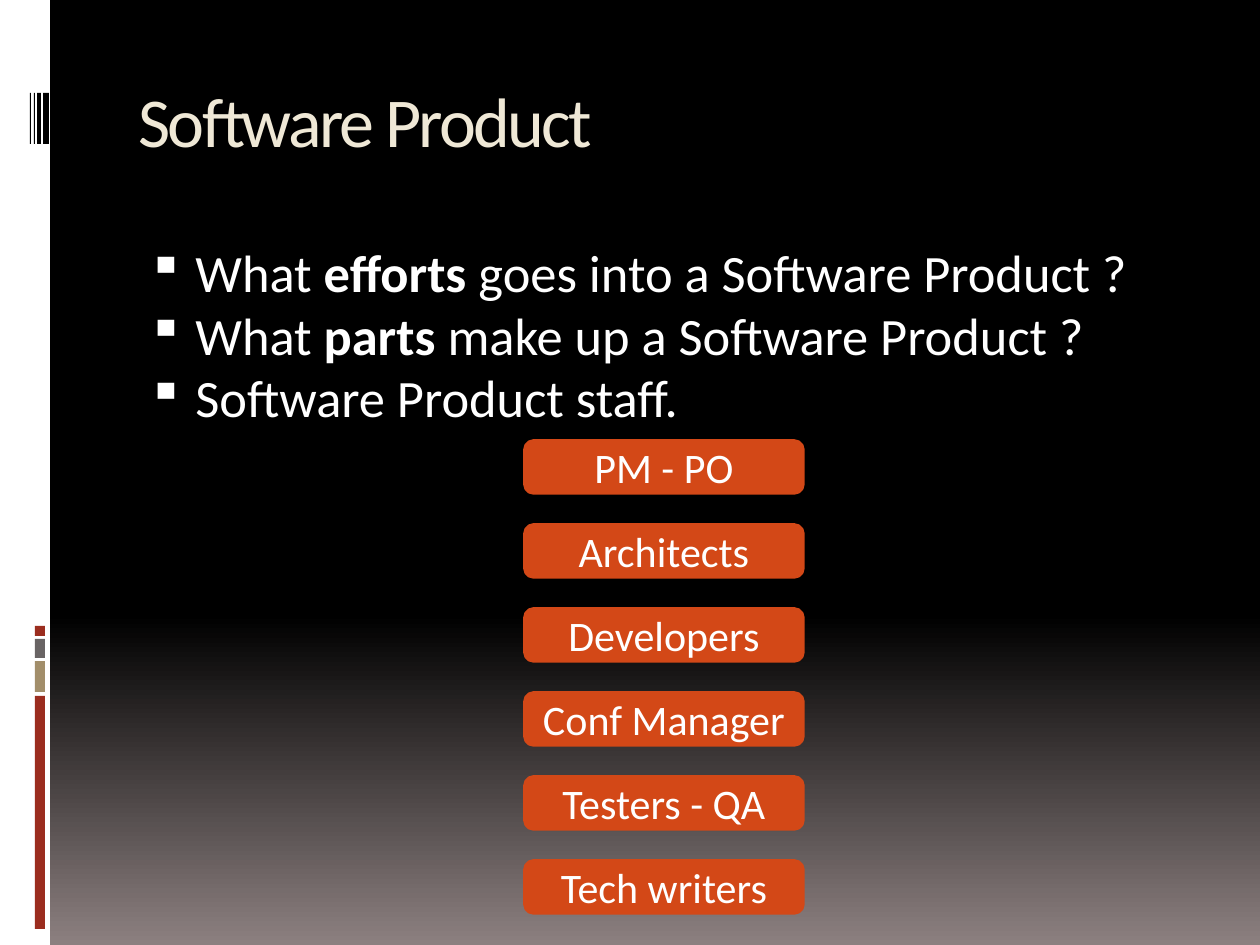
from lxml.etree import SubElement
from pptx import Presentation
from pptx.dml.color import RGBColor
from pptx.enum.shapes import MSO_SHAPE
from pptx.enum.text import MSO_ANCHOR, PP_ALIGN
from pptx.oxml.ns import qn
from pptx.util import Pt

PX = 914400 // 126  # EMU per pixel


def color(hex_code):
    return RGBColor.from_string(hex_code)


def add_block(kind, left, top, width, height, fill):
    block = slide.shapes.add_shape(kind, left * PX, top * PX, width * PX, height * PX)
    block.shadow.inherit = False
    block.fill.solid()
    block.fill.fore_color.rgb = color(fill)
    block.line.fill.background()
    return block


prs = Presentation()
prs.slide_width, prs.slide_height = 1260 * PX, 945 * PX
slide = prs.slides.add_slide(prs.slide_layouts[6])

# Background: black, fading to grey in the lower third
background = slide.background.fill
background.gradient()
background.gradient_angle = 270
for stop, position, hex_code in zip(background.gradient_stops, (0.65, 1), ("000000", "8C8080")):
    stop.position = position
    stop.color.rgb = color(hex_code)

# Side band with coloured strips and black bars
add_block(MSO_SHAPE.RECTANGLE, 0, 0, 50, 945, "FFFFFF")
for top, height, fill in [(696, 233, "9B2D1F"), (661, 31, "A28E6A"),
                          (639, 19, "696464"), (626, 10, "9B2D1F")]:
    add_block(MSO_SHAPE.RECTANGLE, 35, top, 10, height, fill)
for left, width in [(43, 6), (37, 4), (34, 1), (30, 1)]:
    add_block(MSO_SHAPE.RECTANGLE, left, 93, width, 51, "000000")

# Title
title = slide.shapes.add_textbox(126 * PX, 71 * PX, 1071 * PX, 126 * PX).text_frame
title.word_wrap = True
heading = title.paragraphs[0]
heading_run = heading.add_run()
heading_run.text = "Software Product"
heading.font.name, heading.font.size = "Calibri", Pt(40)
heading.font.color.rgb = color("EFE8D6")
heading_run.font._element.set("spc", "-150")

# Questions, each with an optional bold word
questions = [
    ("What ", "efforts", " goes into a Software Product ?"),
    ("What ", "parts", " make up a Software Product ?"),
    ("Software Product staff.",),
]
body = slide.shapes.add_textbox(126 * PX, 246 * PX, 1071 * PX, 630 * PX).text_frame
body.word_wrap = True
for i, pieces in enumerate(questions):
    question = body.add_paragraph() if i else body.paragraphs[0]
    question.line_spacing = 0.8
    question.space_before = Pt(7)
    props = question._p.get_or_add_pPr()
    props.set("marL", str(57 * PX))
    props.set("indent", str(-48 * PX))
    SubElement(props, qn("a:buSzPct"), val="95000")
    SubElement(props, qn("a:buChar"), char="▪")
    question.font.name, question.font.size = "Calibri", Pt(30)
    question.font.color.rgb = color("FFFFFF")
    for j, piece in enumerate(pieces):
        run = question.add_run()
        run.text = piece
        if j == 1:
            run.font.bold = True

# Staff roles, evenly stacked
roles = ["PM - PO", "Architects", "Developers", "Conf Manager", "Testers - QA", "Tech writers"]
for i, role in enumerate(roles):
    box = add_block(MSO_SHAPE.ROUNDED_RECTANGLE, 525, 441 + 84 * i, 278, 52, "D34817")
    box.line.color.rgb = color("D34817")
    box.line.width = Pt(2)
    box.text_frame.vertical_anchor = MSO_ANCHOR.MIDDLE
    label = box.text_frame.paragraphs[0]
    label.text = role
    label.alignment = PP_ALIGN.CENTER
    label.font.name, label.font.size = "Calibri", Pt(24)
    label.font.color.rgb = color("FFFFFF")

prs.save("out.pptx")
